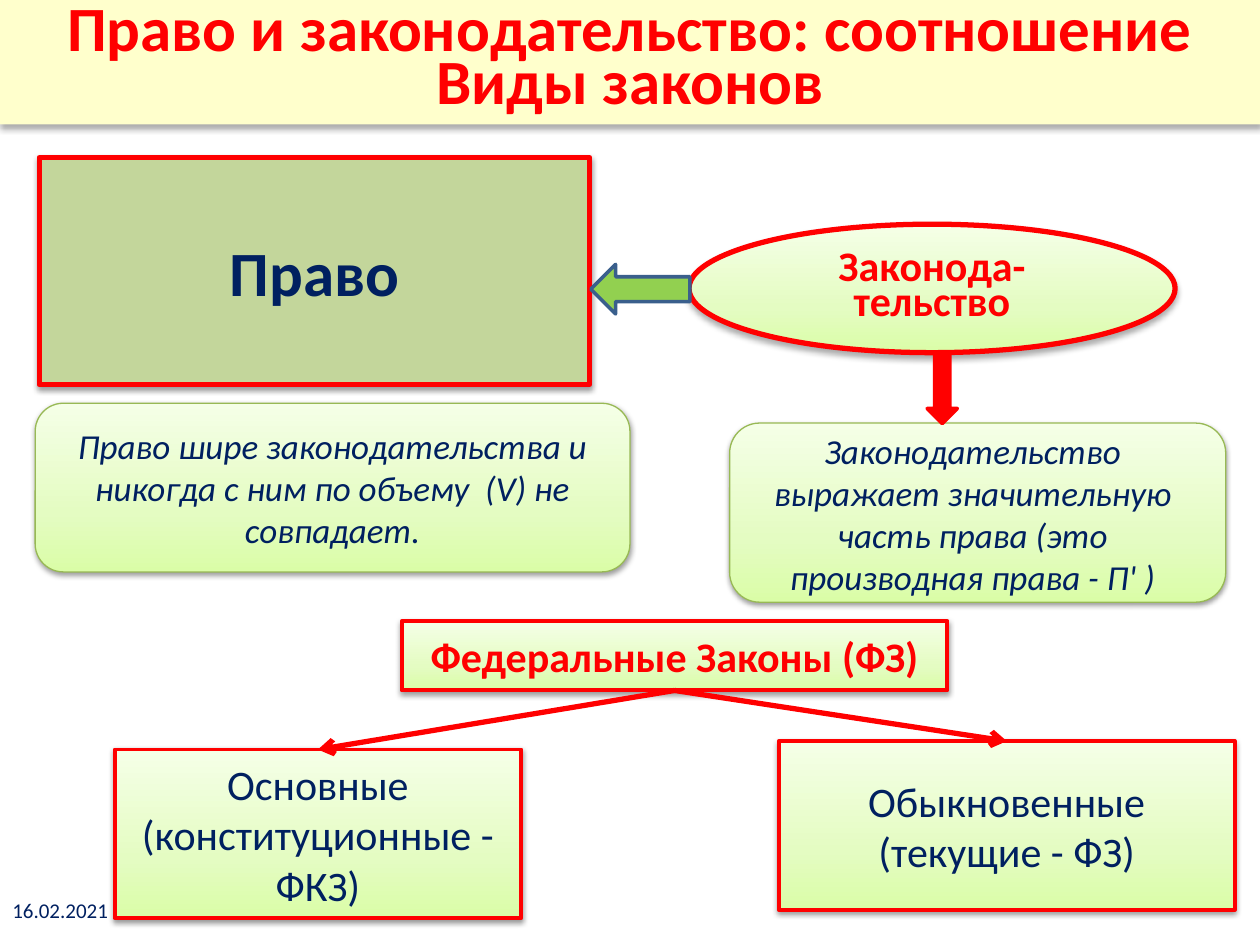
from dataclasses import dataclass
from typing import Optional

from lxml import etree
from pptx import Presentation
from pptx import util as u
from pptx.dml.color import RGBColor
from pptx.enum import shapes, text
from pptx.oxml.ns import qn


@dataclass(frozen=True)
class Theme:
    font: str = "Calibri"
    red: str = "FF0000"
    navy: str = "002060"
    cream: str = "FFFFCC"
    olive: str = "C3D69B"
    moss: str = "98B955"
    green: str = "92D050"
    blue: str = "3A5F8C"
    gradient: tuple = ((0, "DAFDA7"), (35, "E4FCC2"), (100, "F5FFE7"))
    heading: int = 36
    label: int = 24
    note: int = 20
    date: int = 12


THEME = Theme()


@dataclass(frozen=True)
class Shadow:
    opacity: int
    blur: float
    distance: float


SOFT = Shadow(32, 3.5, 2.2)
CRISP = Shadow(38, 3.1, 1.6)


@dataclass(frozen=True)
class Style:
    size: int
    color: str
    bold: bool = False
    italic: bool = False
    spacing: float = 1.0


HEADING = Style(THEME.heading, THEME.red, bold=True, spacing=0.7)
MAIN = Style(THEME.heading, THEME.navy, bold=True)
TERM = Style(THEME.label, THEME.red, bold=True, spacing=0.7)
GROUP = Style(THEME.label, THEME.red, bold=True)
KIND = Style(THEME.label, THEME.navy)
NOTE = Style(THEME.note, THEME.navy, italic=True)
DATE = Style(THEME.date, THEME.navy)


@dataclass(frozen=True)
class Block:
    """A preset shape; place is left, top, width, height in cm, no fill means the gradient."""
    preset: shapes.MSO_SHAPE
    place: tuple
    line: str
    line_width: float
    words: str = ""
    style: Optional[Style] = None
    fill: Optional[str] = None
    shadow: Optional[Shadow] = CRISP


def lengths(place: tuple) -> list:
    return [u.Cm(value) for value in place]


def write(shape, words: str, style: Style, align=text.PP_ALIGN.CENTER,
          anchor=text.MSO_ANCHOR.MIDDLE) -> None:
    frame = shape.text_frame
    frame.word_wrap = True
    frame.vertical_anchor = anchor
    frame.text = words
    for paragraph in frame.paragraphs:
        paragraph.alignment = align
        paragraph.line_spacing = style.spacing
        for run in paragraph.runs:
            font = run.font
            font.name, font.size = THEME.font, u.Pt(style.size)
            font.bold, font.italic = style.bold, style.italic
            font.color.rgb = RGBColor.from_string(style.color)


def fill_solid(shape, color: str) -> None:
    shape.fill.solid()
    shape.fill.fore_color.rgb = RGBColor.from_string(color)


def fill_gradient(shape) -> None:
    """Fill upwards from the bottom edge through the theme's stops."""
    shape.fill.gradient()
    gradient = shape._element.spPr.find(qn("a:gradFill"))
    for child in list(gradient):
        gradient.remove(child)
    stops = etree.SubElement(gradient, qn("a:gsLst"))
    for position, color in THEME.gradient:
        stop = etree.SubElement(stops, qn("a:gs"), pos=str(position * 1000))
        etree.SubElement(stop, qn("a:srgbClr"), val=color)
    etree.SubElement(gradient, qn("a:lin"), ang="16200000", scaled="0")


def cast_shadow(shape, shadow: Shadow) -> None:
    shape.shadow.inherit = False
    effects = shape._element.spPr.find(qn("a:effectLst"))
    outer = etree.SubElement(
        effects, qn("a:outerShdw"), blurRad=str(u.Pt(shadow.blur)),
        dist=str(u.Pt(shadow.distance)), dir="5400000", rotWithShape="0")
    color = etree.SubElement(outer, qn("a:srgbClr"), val="000000")
    etree.SubElement(color, qn("a:alpha"), val=str(shadow.opacity * 1000))


def add_title(slide, words: str) -> None:
    title = slide.shapes.title
    title.left, title.top, title.width, title.height = lengths((0, 0, 25.4, 2.51))
    write(title, words, HEADING)
    title.text_frame.auto_size = text.MSO_AUTO_SIZE.NONE
    fill_solid(title, THEME.cream)
    cast_shadow(title, SOFT)


def add_block(slide, block: Block):
    shape = slide.shapes.add_shape(block.preset, *lengths(block.place))
    if block.fill:
        fill_solid(shape, block.fill)
    else:
        fill_gradient(shape)
    shape.line.color.rgb = RGBColor.from_string(block.line)
    shape.line.width = u.Pt(block.line_width)
    if block.shadow:
        cast_shadow(shape, block.shadow)
    else:
        shape.shadow.inherit = False
    if block.style:
        write(shape, block.words, block.style)
    return shape


def add_branch(slide, parent, child) -> None:
    """Draw an arrow from the parent's bottom to the child's top."""
    branch = slide.shapes.add_connector(shapes.MSO_CONNECTOR.STRAIGHT, 0, 0, 0, 0)
    branch.begin_connect(parent, 2)
    branch.end_connect(child, 0)
    branch.line.color.rgb = RGBColor.from_string(THEME.red)
    branch.line.width = u.Pt(3)
    etree.SubElement(branch.line._get_or_add_ln(), qn("a:tailEnd"), type="arrow")
    etree.SubElement(branch._element.spPr, qn("a:effectLst"))


def main() -> None:
    presentation = Presentation()
    presentation.slide_width, presentation.slide_height = u.Cm(25.4), u.Cm(19.05)
    slide = presentation.slides.add_slide(presentation.slide_layouts[0])
    subtitle = slide.placeholders[1]._element
    subtitle.getparent().remove(subtitle)
    add_title(slide, "Право и законодательство: соотношение\vВиды законов")

    preset = shapes.MSO_SHAPE
    box, rounded = preset.RECTANGLE, preset.ROUNDED_RECTANGLE
    for block in (
        Block(box, (0.79, 3.18, 11.1, 4.57), THEME.red, 3, "Право", MAIN, THEME.olive),
        Block(preset.OVAL, (13.89, 4.52, 9.8, 2.59), THEME.red, 3,
              "Законода-\nтельство", TERM, shadow=SOFT),
        Block(rounded, (0.71, 8.13, 11.99, 3.4), THEME.moss, 0.75,
              "Право шире законодательства и никогда с ним по объему  (V) не совпадает.", NOTE),
        Block(rounded, (14.71, 8.53, 10, 3.61), THEME.moss, 0.75),
    ):
        add_block(slide, block)

    legislation_note = slide.shapes.add_textbox(*lengths((14.91, 8.53, 9.4, 3.68)))
    write(legislation_note, "Законодательство выражает значительную часть права "
          "(это производная права - П' )", NOTE, anchor=text.MSO_ANCHOR.TOP)
    legislation_note.text_frame.auto_size = text.MSO_AUTO_SIZE.SHAPE_TO_FIT_TEXT

    federal, *kinds = [add_block(slide, Block(box, place, THEME.red, 2.25, words, style))
                       for place, words, style in (
        ((8.1, 12.52, 11, 1.4), "Федеральные Законы (ФЗ)", GROUP),
        ((2.31, 15.11, 8.2, 3.4), "Основные\n(конституционные - ФКЗ)", KIND),
        ((15.7, 14.94, 9.19, 3.4), "Обыкновенные\n(текущие - ФЗ)", KIND),
    )]
    for kind in kinds:
        add_branch(slide, federal, kind)

    add_block(slide, Block(preset.LEFT_ARROW, (11.91, 5.33, 2, 1), THEME.blue, 2,
                           fill=THEME.green, shadow=None))
    add_block(slide, Block(preset.DOWN_ARROW, (18.69, 7.14, 0.61, 1.4), THEME.red, 2,
                           fill=THEME.red, shadow=None))

    date = slide.shapes.add_textbox(*lengths((0, 17.65, 2.49, 1.4)))
    write(date, "16.02.2021", DATE, align=text.PP_ALIGN.LEFT)
    presentation.save("out.pptx")


if __name__ == "__main__":
    main()
